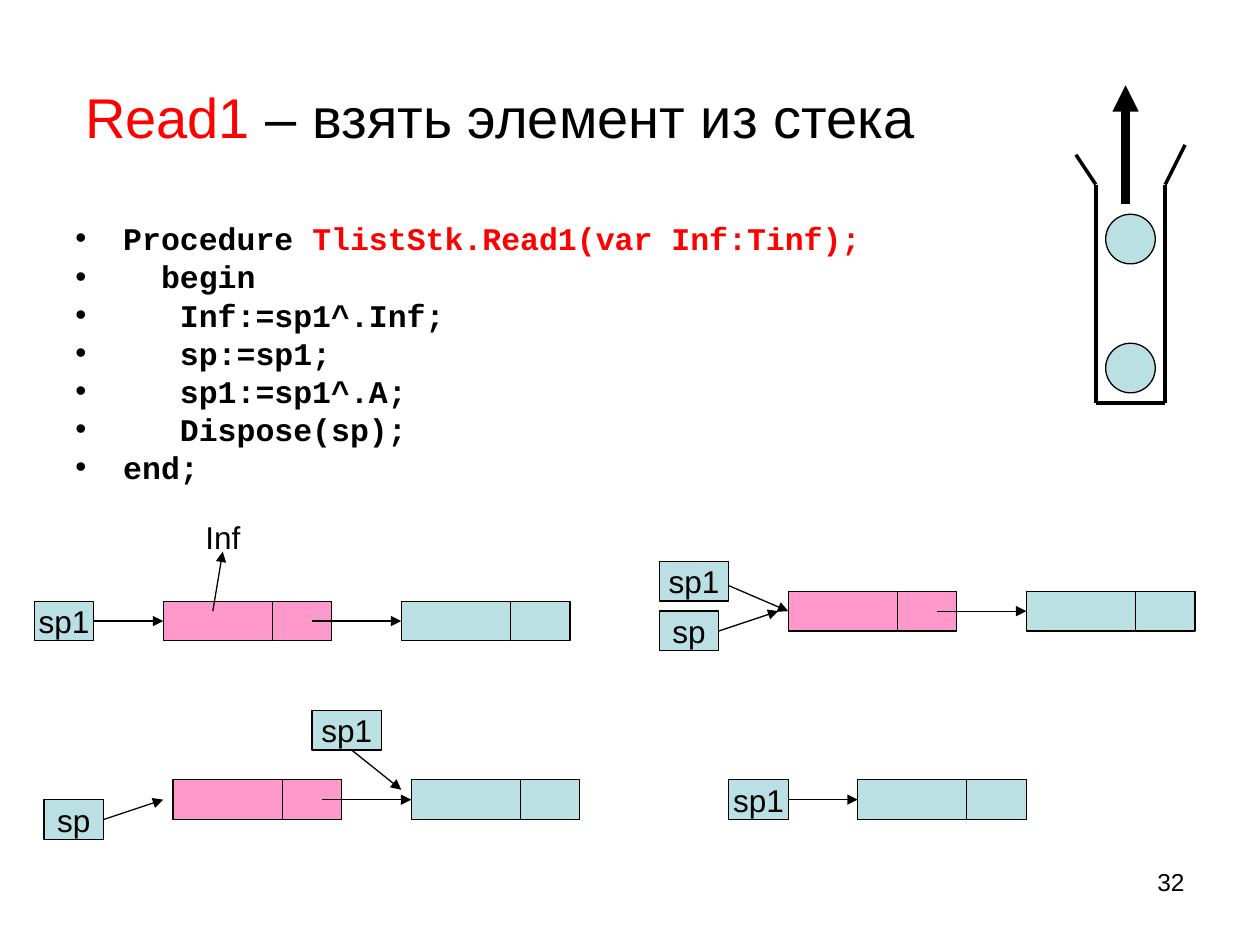
from lxml.etree import SubElement
from pptx import Presentation
from pptx.dml.color import RGBColor
from pptx.enum.shapes import MSO_CONNECTOR as Connector, MSO_SHAPE as Shape
from pptx.enum.text import MSO_ANCHOR as Anchor, PP_ALIGN as Align
from pptx.oxml.ns import qn
from pptx.util import Inches, Pt

BLACK = RGBColor(0x00, 0x00, 0x00)
RED = RGBColor(0xFF, 0x00, 0x00)
PINK = RGBColor(0xFF, 0x99, 0xCC)
TEAL = RGBColor(0xBB, 0xE0, 0xE3)

presentation = Presentation()
presentation.slide_width, presentation.slide_height = Inches(10), Inches(7.5)
slide = presentation.slides.add_slide(presentation.slide_layouts[6])

UNIT = presentation.slide_width / 127
MARGIN_COLUMN, MARGIN_ROW = 0.45, 0.6


def add_item(kind, column, row, width, height, fill=None):
    box = [round(UNIT * value) for value in
           (column + MARGIN_COLUMN, row + MARGIN_ROW, width, height)]
    if kind is None:
        text_box = slide.shapes.add_textbox(*box)
        text_box.text_frame.word_wrap = True
        return text_box
    shape = slide.shapes.add_shape(kind, *box)
    shape.shadow.inherit = False
    shape.fill.solid()
    shape.fill.fore_color.rgb = fill
    shape.line.color.rgb = BLACK
    shape.line.width = Pt(0.75)
    return shape


def add_line(start, end, width=0.75, arrow=True):
    points = [round(UNIT * value) for column, row in (start, end)
              for value in (column + MARGIN_COLUMN, row + MARGIN_ROW)]
    line = slide.shapes.add_connector(Connector.STRAIGHT, *points)
    line.line.color.rgb = BLACK
    line.line.width = Pt(width)
    if arrow:
        SubElement(line.line._get_or_add_ln(), qn("a:tailEnd"), type="triangle")
    SubElement(line._element.spPr, qn("a:effectLst"))
    return line


title = add_item(None, 5.9, 3.21, 88.14, 15.88)
title.text_frame.vertical_anchor = Anchor.MIDDLE
paragraph = title.text_frame.paragraphs[0]
paragraph.alignment = Align.CENTER
for text, color in (("Read1", RED), (" – взять элемент из стека", BLACK)):
    run = paragraph.add_run()
    run.text = text
    run.font.name, run.font.size = "Arial", Pt(32)
    run.font.color.rgb = color

code_lines = [
    [("Procedure ", BLACK), ("TlistStk.Reаd1(var Inf:Tinf);", RED)],
    [("  begin", BLACK)],
    [("   Inf:=sp1^.Inf;", BLACK)],
    [("   sp:=sp1;", BLACK)],
    [("   sp1:=sp1^.A;", BLACK)],
    [("   Dispose(sp);", BLACK)],
    [("end;", BLACK)],
]
code = add_item(None, 5.9, 21.62, 89.15, 29.34)
for index, parts in enumerate(code_lines):
    paragraph = code.text_frame.add_paragraph() if index else code.text_frame.paragraphs[0]
    paragraph.line_spacing = 0.8
    paragraph.space_before = Pt(4.5 if index else 0)
    properties = paragraph._p.get_or_add_pPr()
    properties.set("marL", str(Inches(0.38)))
    properties.set("indent", str(-Inches(0.38)))
    bullet_color = SubElement(properties, qn("a:buClr"))
    SubElement(bullet_color, qn("a:srgbClr"), val=str(BLACK))
    SubElement(properties, qn("a:buFont"), typeface="Arial")
    SubElement(properties, qn("a:buChar"), char="•")
    for text, color in parts:
        run = paragraph.add_run()
        run.text = text
        run.font.name, run.font.size, run.font.bold = "Courier New", Pt(18), True
        run.font.color.rgb = color

stack_walls = [((110, 18), (110, 40)), ((117, 18), (117, 40)), ((110, 40), (117, 40)),
               ((110, 18), (108, 15)), ((117, 18), (119, 14))]
for start, end in stack_walls:
    add_line(start, end, width=2, arrow=False)
for row in (21, 34):
    add_item(Shape.OVAL, 111, row, 5, 5, TEAL)
add_line((113, 20), (113, 8), width=5)

nodes = {}
for name, column, row, color in (
    ("read first", 16, 60, PINK), ("read second", 40, 60, TEAL),
    ("saved first", 79, 59, PINK), ("saved second", 103, 59, TEAL),
    ("moved first", 17, 78, PINK), ("moved second", 41, 78, TEAL),
    ("remaining", 86, 78, TEAL),
):
    nodes[name] = add_item(Shape.RECTANGLE, column, row, 11, 4, color)
    add_item(Shape.RECTANGLE, column + 11, row, 6, 4, color)

for target, column, row in (("read second", 31, 62), ("saved second", 94, 61),
                            ("moved second", 32, 80)):
    link = add_line((column, row), (column + 9, row))
    link.end_connect(nodes[target], 1)

add_line((21, 61), (22, 55))
add_line((35, 75), (40, 79))
add_line((72, 58), (79, 61)).end_connect(nodes["saved first"], 1)

labels = {}
for name, text, column, row, width in (
    ("read sp1", "sp1", 3, 60, 6), ("saved sp1", "sp1", 66, 56, 7),
    ("saved sp", "sp", 66, 61, 6), ("moved sp1", "sp1", 31, 71, 7),
    ("moved sp", "sp", 4, 80, 6), ("remaining sp1", "sp1", 73, 78, 6),
):
    labels[name] = add_item(Shape.RECTANGLE, column, row, width, 4, TEAL)
    frame = labels[name].text_frame
    frame.word_wrap = False
    frame.vertical_anchor = Anchor.MIDDLE
    frame.text = text
    frame.paragraphs[0].alignment = Align.CENTER
    frame.paragraphs[0].font.name = "Arial"
    frame.paragraphs[0].font.size = Pt(18)
    frame.paragraphs[0].font.color.rgb = BLACK

for label, start, end, target in (
    ("read sp1", (9, 62), (16, 62), "read first"),
    ("saved sp", (72, 63), (78, 61), None),
    ("moved sp", (10, 82), (16, 80), None),
    ("remaining sp1", (79, 80), (86, 80), "remaining"),
):
    pointer = add_line(start, end)
    pointer.begin_connect(labels[label], 3)
    if target:
        pointer.end_connect(nodes[target], 1)

for text, box, size, alignment in (
    ("Inf", (19, 51, 8, 5), 18, Align.LEFT),
    ("32", (90.6, 86.14, 29.6, 6.6), 14, Align.RIGHT),
):
    caption = add_item(None, *box)
    caption.text_frame.text = text
    paragraph = caption.text_frame.paragraphs[0]
    paragraph.alignment = alignment
    paragraph.font.name, paragraph.font.size = "Arial", Pt(size)
    paragraph.font.color.rgb = BLACK

presentation.save("out.pptx")
